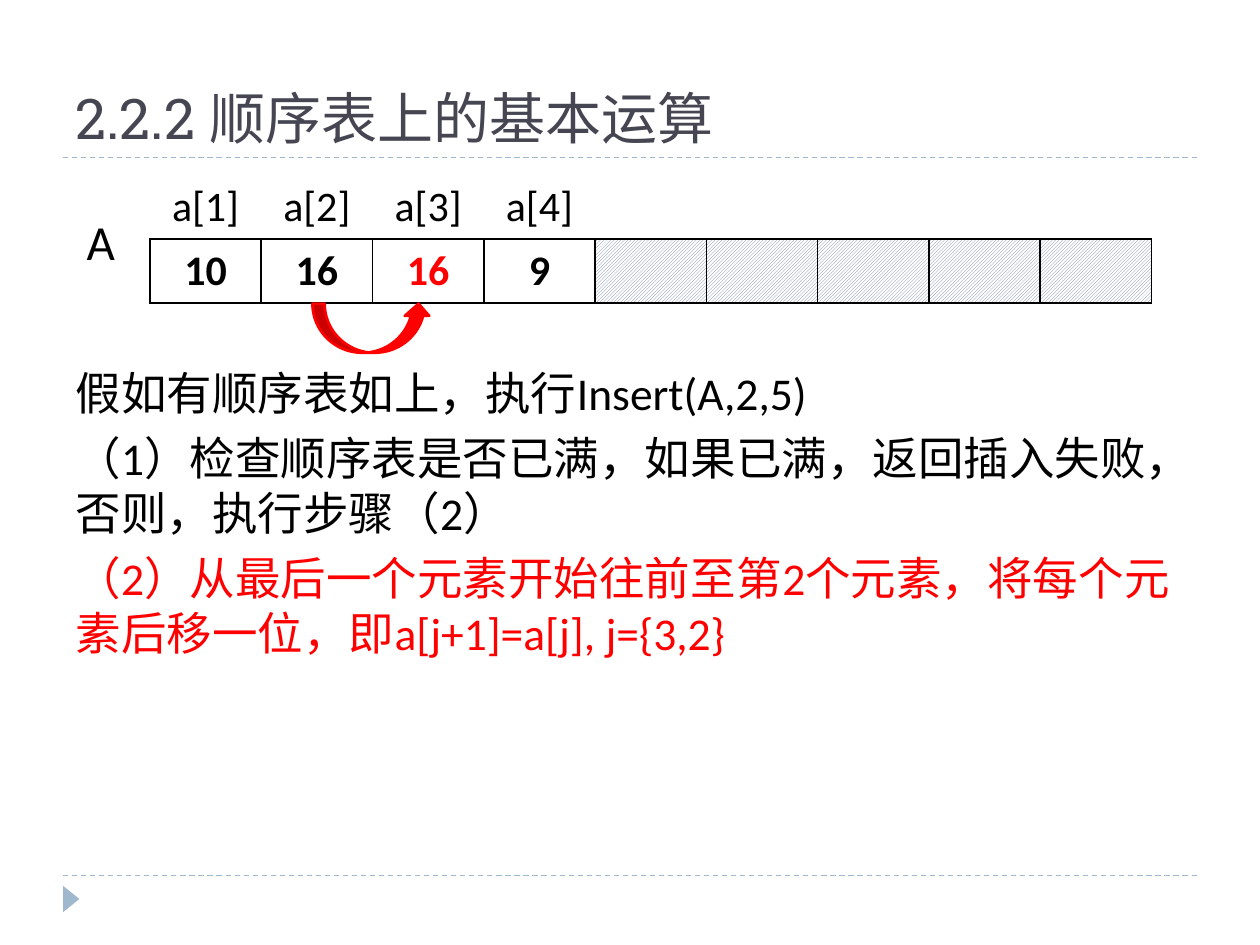
import pptx
import pptx.dml.color
import pptx.enum.dml
import pptx.enum.shapes
import pptx.enum.text
import pptx.oxml.ns
import pptx.util
from lxml import etree
from pptx.util import Inches

RGBColor = pptx.dml.color.RGBColor
BLACK = RGBColor(0x00, 0x00, 0x00)
WHITE = RGBColor(0xFF, 0xFF, 0xFF)
RED = RGBColor(0xFF, 0x00, 0x00)
TITLE_COLOR = RGBColor(0x46, 0x46, 0x53)
ACCENT = RGBColor(0x9F, 0xB8, 0xCD)
HATCH = RGBColor(0x72, 0x7C, 0xA3)

ALIGN = pptx.enum.text.PP_ALIGN
ANCHOR = pptx.enum.text.MSO_ANCHOR
SHAPE = pptx.enum.shapes.MSO_SHAPE

CAPACITY = 9
LABELS = ["a[1]", "a[2]", "a[3]", "a[4]"]
VALUES = [("10", BLACK), ("16", BLACK), ("16", RED), ("9", BLACK)]
STEPS = [
    ("假如有顺序表如上，执行Insert(A,2,5)", BLACK),
    ("（1）检查顺序表是否已满，如果已满，返回插入失败，否则，执行步骤（2）", BLACK),
    ("（2）从最后一个元素开始往前至第2个元素，将每个元素后移一位，即a[j+1]=a[j], j={3,2}", RED),
]


def add_child(parent, tag, **attributes):
    return etree.SubElement(parent, pptx.oxml.ns.qn(tag), **attributes)


def write_text(paragraph, text, size, font="Calibri", color=BLACK, bold=False, align=ALIGN.LEFT):
    paragraph.alignment = align
    run = paragraph.add_run()
    run.text = text
    run.font.size = pptx.util.Pt(size)
    run.font.name = font
    run.font.color.rgb = color
    run.font.bold = bold


def place(shape, left, top, width, height):
    shape.left, shape.top, shape.width, shape.height = left, top, width, height


def add_rule(slide, left, top, width):
    connector = slide.shapes.add_connector(
        pptx.enum.shapes.MSO_CONNECTOR.STRAIGHT, left, top, left + width, top)
    connector.line.color.rgb = ACCENT
    connector.line.width = pptx.util.Pt(0.75)
    connector.line.dash_style = pptx.enum.dml.MSO_LINE.DASH
    add_child(connector.element.spPr, "a:effectLst")


def add_solid_shape(slide, kind, left, top, width, height, color):
    shape = slide.shapes.add_shape(kind, left, top, width, height)
    shape.shadow.inherit = False
    shape.fill.solid()
    shape.fill.fore_color.rgb = color
    shape.line.fill.background()
    return shape


def add_frame(slide, left, top, width, height):
    add_rule(slide, left, top, width)
    add_rule(slide, left, top + height, width)
    marker = add_solid_shape(slide, SHAPE.ISOSCELES_TRIANGLE, left - Inches(0.04),
                             top + height + Inches(0.12), Inches(0.21), Inches(0.13), ACCENT)
    marker.rotation = 90


def fill_title(slide, left, top, width, height):
    title = slide.shapes.title
    place(title, left, top, width, height)
    frame = title.text_frame
    frame.auto_size = pptx.enum.text.MSO_AUTO_SIZE.NONE
    frame.vertical_anchor = ANCHOR.BOTTOM
    write_text(frame.paragraphs[0], "2.2.2 顺序表上的基本运算", 32,
               font="Roboto Slab", color=TITLE_COLOR)


def fill_body(slide, left, top, width, height):
    body = slide.placeholders[1]
    place(body, left, top, width, height)
    frame = body.text_frame
    frame.auto_size = pptx.enum.text.MSO_AUTO_SIZE.NONE
    frame.margin_top = Inches(1.62) - Inches(0.05)
    for index, (text, color) in enumerate(STEPS):
        paragraph = frame.add_paragraph() if index else frame.paragraphs[0]
        write_text(paragraph, text, 26, color=color)
        paragraph.space_before = pptx.util.Pt(6 if index else 0)
        properties = paragraph._p.get_or_add_pPr()
        properties.set("marL", "0")
        properties.set("indent", "0")
        add_child(properties, "a:buNone")


def add_borders(cell):
    properties = cell._tc.get_or_add_tcPr()
    for side in ("a:lnL", "a:lnR", "a:lnT", "a:lnB"):
        line = add_child(properties, side, w=str(pptx.util.Pt(1)))
        add_child(add_child(line, "a:solidFill"), "a:srgbClr", val=str(BLACK))


def hatch(cell):
    cell.fill.patterned()
    cell.fill.pattern = pptx.enum.dml.MSO_PATTERN.LIGHT_UPWARD_DIAGONAL
    cell.fill.fore_color.rgb = HATCH
    cell.fill.back_color.rgb = WHITE


def add_array(slide, left, top, width, height):
    table = slide.shapes.add_table(2, CAPACITY, left, top, width, height).table
    table.first_row = False
    table.horz_banding = False
    for index in range(CAPACITY):
        label_cell, value_cell = table.cell(0, index), table.cell(1, index)
        add_borders(value_cell)
        label_cell.fill.background()
        if index >= len(VALUES):
            hatch(value_cell)
            continue
        value_cell.fill.background()
        value, color = VALUES[index]
        for cell in (label_cell, value_cell):
            cell.vertical_anchor = ANCHOR.MIDDLE
        write_text(label_cell.text_frame.paragraphs[0], LABELS[index], 24, align=ALIGN.CENTER)
        write_text(value_cell.text_frame.paragraphs[0], value, 24, color=color,
                   bold=True, align=ALIGN.CENTER)

    name_box = slide.shapes.add_textbox(left - Inches(0.6), top + Inches(0.24),
                                        Inches(0.4), Inches(0.57))
    name_box.text_frame.word_wrap = False
    write_text(name_box.text_frame.paragraphs[0], "A", 28)

    arrow = add_solid_shape(slide, SHAPE.CURVED_UP_ARROW, left + Inches(1.29),
                            top + height + Inches(0.02), Inches(0.94), Inches(0.39), RED)
    arrow.line.color.rgb = RED
    arrow.line.width = pptx.util.Pt(1.5)


def main():
    presentation = pptx.Presentation()
    presentation.slide_width = Inches(10)
    presentation.slide_height = Inches(7.5)
    slide = presentation.slides.add_slide(presentation.slide_layouts[1])
    add_frame(slide, Inches(0.5), Inches(1.25), Inches(9), Inches(5.7))
    fill_title(slide, Inches(0.5), Inches(0.17), Inches(9), Inches(1.08))
    fill_body(slide, Inches(0.5), Inches(1.33), Inches(9), Inches(5.4))
    add_array(slide, Inches(1.19), Inches(1.39), Inches(7.95), Inches(1))
    presentation.save("out.pptx")


if __name__ == "__main__":
    main()
